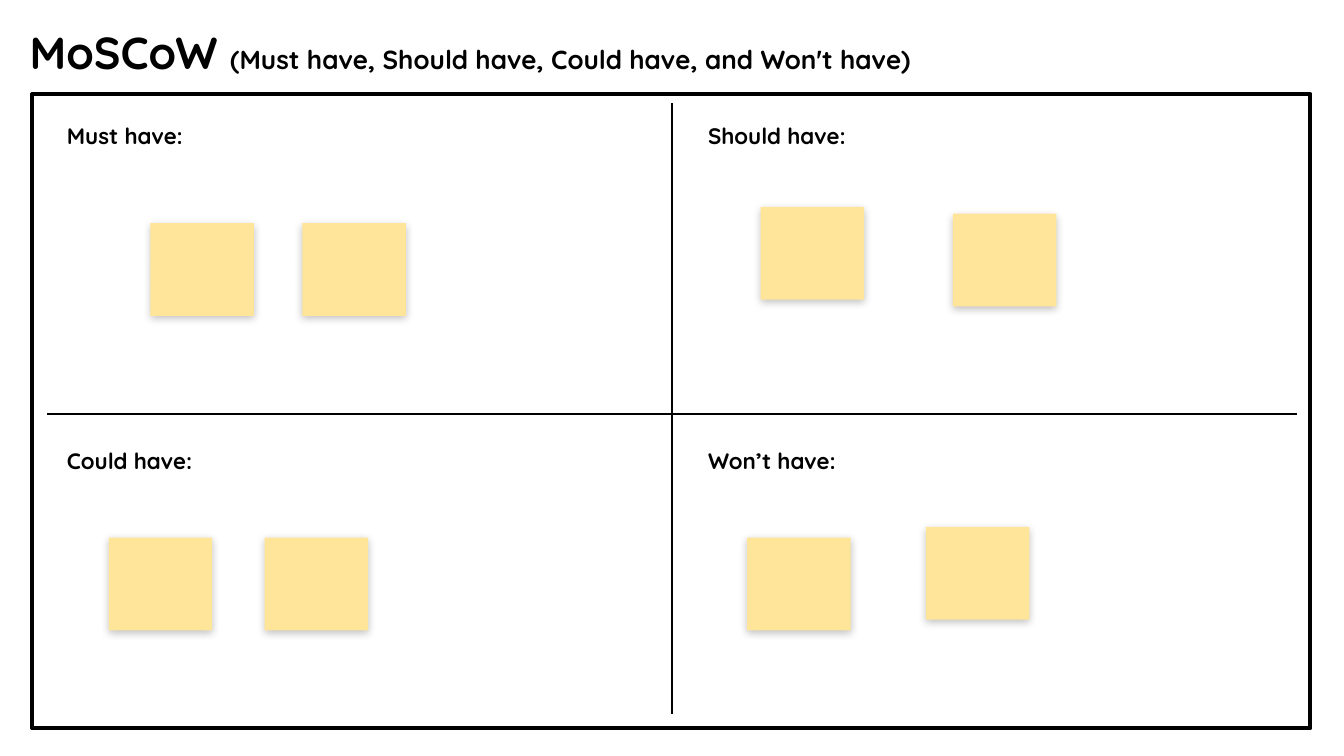
from lxml import etree
from pptx import Presentation
from pptx.dml.color import RGBColor
from pptx.enum.shapes import MSO_CONNECTOR, MSO_SHAPE
from pptx.enum.text import MSO_ANCHOR
from pptx.oxml.ns import qn
from pptx.util import Inches, Pt

RECT = MSO_SHAPE.RECTANGLE
LINE = MSO_CONNECTOR.STRAIGHT
TOP, MIDDLE = MSO_ANCHOR.TOP, MSO_ANCHOR.MIDDLE

WIDE = 10
HIGH = WIDE * 9 / 16
FONT, INK, PAPER = "Quicksand", "000000", "FFE599"
NOTE_W, NOTE_H = 0.77, 0.69

# Grid of quadrants: first corner, step to the next, size of a label
GRID_X, GRID_Y = 0.4, 0.81
STEP_X, STEP_Y = 4.77, 2.42
LABEL_W, LABEL_H = 4.36, 0.36

# Label, column, row, and note corners relative to the quadrant
QUADS = [
    ("Must have:", 0, 0, [(0.72, 0.85), (1.85, 0.85)]),
    ("Should have:", 1, 0, [(0.49, 0.73), (1.92, 0.78)]),
    ("Could have:", 0, 1, [(0.41, 0.77), (1.57, 0.77)]),
    ("Won’t have:", 1, 1, [(0.39, 0.77), (1.72, 0.69)]),
]


def color(code):
    return RGBColor.from_string(code)


def inches(*sizes):
    return [Inches(size) for size in sizes]


def add_text(slide, box, runs, pad=0.1, anchor=TOP, bold=True):
    """Place one line of (text, size) runs in a box."""
    frame = slide.shapes.add_textbox(*inches(*box)).text_frame
    frame.word_wrap = True
    frame.vertical_anchor = anchor
    frame.margin_left = frame.margin_right = Inches(pad)
    frame.margin_top = frame.margin_bottom = Inches(pad)
    for words, size in runs:
        run = frame.paragraphs[0].add_run()
        run.text = words
        run.font.name, run.font.size, run.font.bold = FONT, Pt(size), bold
        run.font.color.rgb = color(INK)


def add_rule(slide, start, end):
    rule = slide.shapes.add_connector(LINE, *inches(*start, *end))
    rule.line.color.rgb = color(INK)
    rule.line.width = Pt(0.75)
    etree.SubElement(rule._element.spPr, qn("a:effectLst"))


def add_note(slide, left, top):
    note = slide.shapes.add_shape(RECT, *inches(left, top, NOTE_W, NOTE_H))
    note.fill.solid()
    note.fill.fore_color.rgb = color(PAPER)
    note.line.fill.background()
    note.shadow.inherit = False
    # Soft shadow straight below
    effects = note._element.spPr.find(qn("a:effectLst"))
    shade = etree.SubElement(
        effects, qn("a:outerShdw"), blurRad=str(Pt(4.5)), dist=str(Pt(1.5)),
        dir="5400000", algn="bl", rotWithShape="0")
    tone = etree.SubElement(shade, qn("a:srgbClr"), val=INK)
    etree.SubElement(tone, qn("a:alpha"), val="24000")


def add_frame(slide, box):
    """Draw the outer border and the two dividers."""
    left, top, width, height = box
    frame = slide.shapes.add_shape(RECT, *inches(*box))
    frame.fill.background()
    frame.line.color.rgb = color(INK)
    frame.line.width = Pt(2.25)
    etree.SubElement(frame.line._get_or_add_ln(), qn("a:round"))
    frame.shadow.inherit = False
    mid_x, mid_y = WIDE / 2, 3.08
    add_rule(slide, (left + width - 0.1, mid_y), (left + 0.11, mid_y))
    add_rule(slide, (mid_x, top + 0.07), (mid_x, top + height - 0.11))


def add_quad(slide, left, top, label, notes):
    add_text(slide, (left, top, LABEL_W, LABEL_H), [(label, 12)])
    for x, y in notes:
        add_note(slide, left + x, top + y)


def main():
    deck = Presentation()
    deck.slide_width, deck.slide_height = inches(WIDE, HIGH)
    slide = deck.slides.add_slide(deck.slide_layouts[6])

    # Border and title
    add_frame(slide, (0.24, 0.7, 9.51, 4.72))
    title = [("MoSCoW ", 24),
             ("(Must have, Should have, Could have, and Won't have)", 14)]
    add_text(slide, (0.18, 0.16, 8.38, 0.45), title, pad=0.04, anchor=MIDDLE)

    # Quadrants with their sticky notes
    for label, col, row, notes in QUADS:
        add_quad(slide, GRID_X + col * STEP_X, GRID_Y + row * STEP_Y,
                 label, notes)

    deck.save("out.pptx")


if __name__ == "__main__":
    main()
